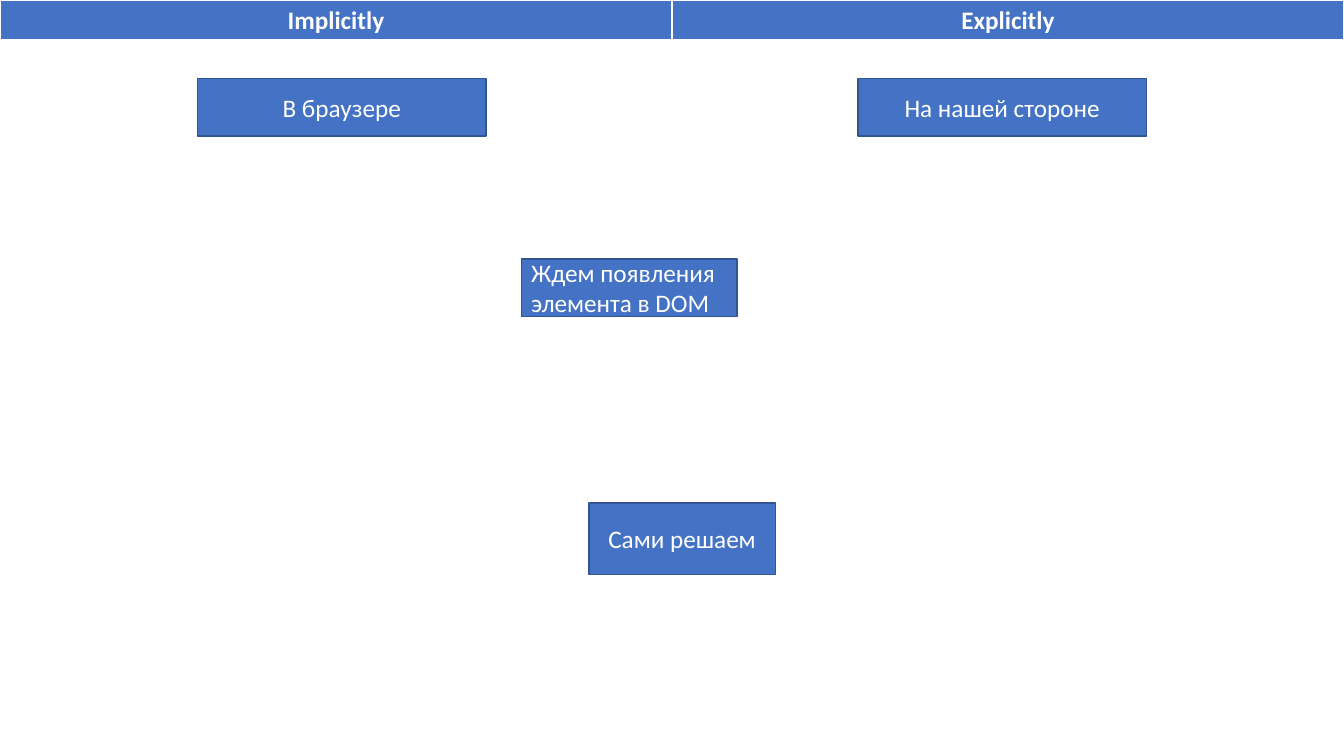
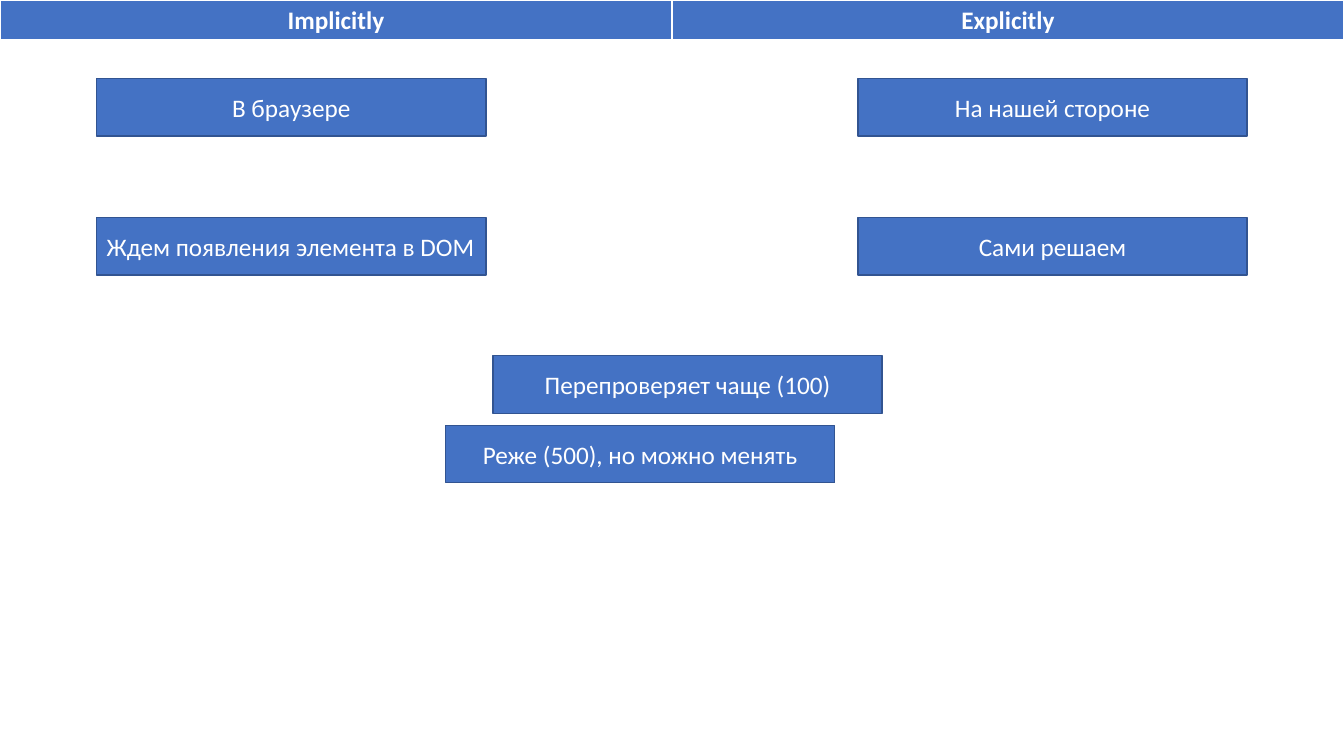
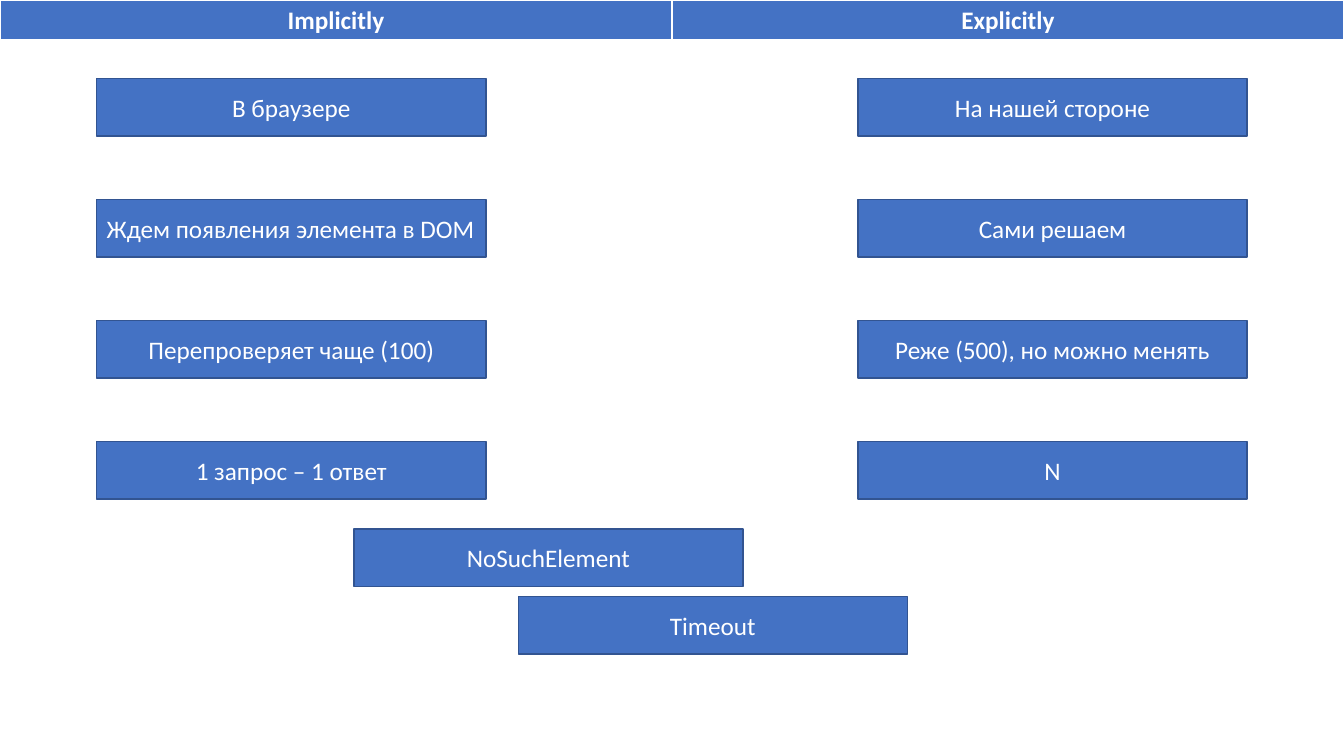
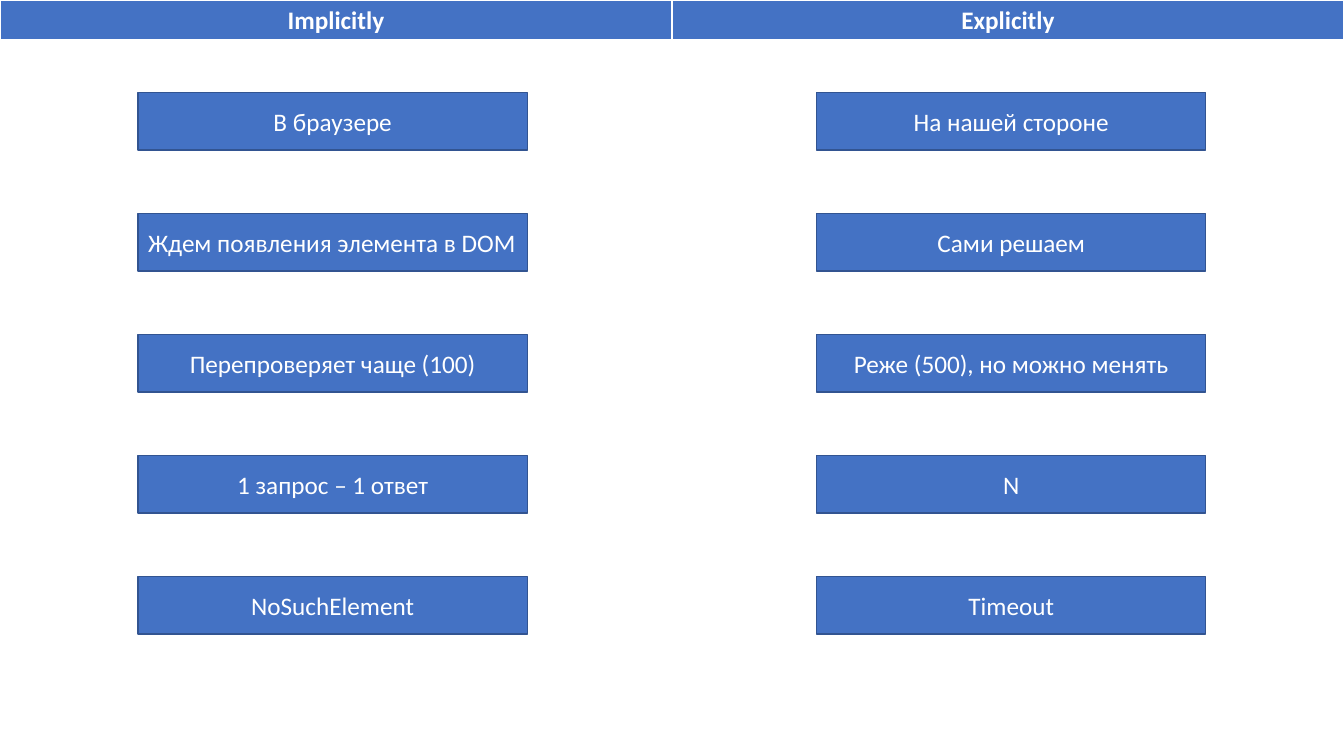
from lxml import etree
from pptx import Presentation
from pptx.dml.color import RGBColor
from pptx.enum.shapes import MSO_SHAPE
from pptx.enum.text import MSO_ANCHOR, PP_ALIGN
from pptx.oxml.ns import qn
from pptx.util import Inches, Pt

RECT = MSO_SHAPE.RECTANGLE
MIDDLE = MSO_ANCHOR.MIDDLE
LEFT, CENTER = PP_ALIGN.LEFT, PP_ALIGN.CENTER

BLUE, EDGE, WHITE = "4472C4", "325491", "FFFFFF"
FONT, SIZE = "Calibri", 18
WIDE, HIGH = 13.33, 7.5
HEAD_H = 0.41
BOX_W, BOX_H = 3.86, 0.57
BORDERS = {"a:lnL": 1, "a:lnR": 1, "a:lnT": 1, "a:lnB": 3}

HEADS = ("Implicitly", "Explicitly")
WAIT = "Ждем появления элемента в DOM"
PAIRS = [
    ("В браузере", "На нашей стороне"),
    (WAIT, "Сами решаем"),
    ("Перепроверяет чаще (100)", "Реже (500), но можно менять"),
    ("1 запрос – 1 ответ", "N"),
    ("NoSuchElement", "Timeout"),
]


def color(code):
    """Turn a hex string into a colour."""
    return RGBColor.from_string(code)


def write(frame, text, align=CENTER, bold=False):
    """Put one line of white text into a frame."""
    frame.word_wrap = True
    line = frame.paragraphs[0]
    line.text = text
    line.alignment = align
    font = line.font
    font.name, font.size, font.bold = FONT, Pt(SIZE), bold
    font.color.rgb = color(WHITE)


def border(cell):
    """Draw white borders round a cell."""
    props = cell._tc.get_or_add_tcPr()
    for tag, width in BORDERS.items():
        line = etree.SubElement(props, qn(tag), w=str(Pt(width)))
        fill = etree.SubElement(line, qn("a:solidFill"))
        etree.SubElement(fill, qn("a:srgbClr"), val=WHITE)


def header(slide):
    """Add the two-column heading across the top."""
    frame = slide.shapes.add_table(1, len(HEADS), 0, 0, Inches(WIDE), Inches(HEAD_H))
    for cell, text in zip(frame.table.rows[0].cells, HEADS):
        border(cell)
        cell.fill.solid()
        cell.fill.fore_color.rgb = color(BLUE)
        write(cell.text_frame, text, bold=True)


def box(slide, text, left, top, width=BOX_W, height=BOX_H):
    """Add a blue box with a label."""
    shape = slide.shapes.add_shape(
        RECT, Inches(left), Inches(top), Inches(width), Inches(height))
    shape.shadow.inherit = False
    shape.fill.solid()
    shape.fill.fore_color.rgb = color(BLUE)
    shape.line.color.rgb = color(EDGE)
    shape.line.width = Pt(1)
    shape.text_frame.vertical_anchor = MIDDLE
    write(shape.text_frame, text, LEFT if text == WAIT else CENTER)


def grid(slide, count, left, top, pitch=1.2, width=BOX_W):
    """Add the first pairs as rows, mirrored about the slide centre."""
    for row, (ours, theirs) in enumerate(PAIRS[:count]):
        y = top + row * pitch
        box(slide, ours, left, y, width)
        box(slide, theirs, WIDE - left - width, y, width)


def main():
    """Build the slides and save them."""
    deck = Presentation()
    deck.slide_width, deck.slide_height = Inches(WIDE), Inches(HIGH)
    blank = deck.slide_layouts[6]
    slides = [deck.slides.add_slide(blank) for _ in range(4)]
    for slide in slides:
        header(slide)
    first, second, third, last = slides

    grid(first, 1, 1.96, 0.78, width=2.86)
    wait, decide = PAIRS[1]
    box(first, wait, 5.17, 2.57, 2.14)
    box(first, decide, 5.84, 4.99, 1.85, 0.71)

    grid(second, 2, 0.96, 0.78, pitch=1.38)
    often, seldom = PAIRS[2]
    box(second, often, 4.89, 3.53)
    box(second, seldom, 4.42, 4.22)

    grid(third, 4, 0.96, 0.78)
    absent, late = PAIRS[4]
    box(third, absent, 3.51, 5.25)
    box(third, late, 5.14, 5.92)

    grid(last, 5, 1.37, 0.92)
    deck.save("out.pptx")


main()
